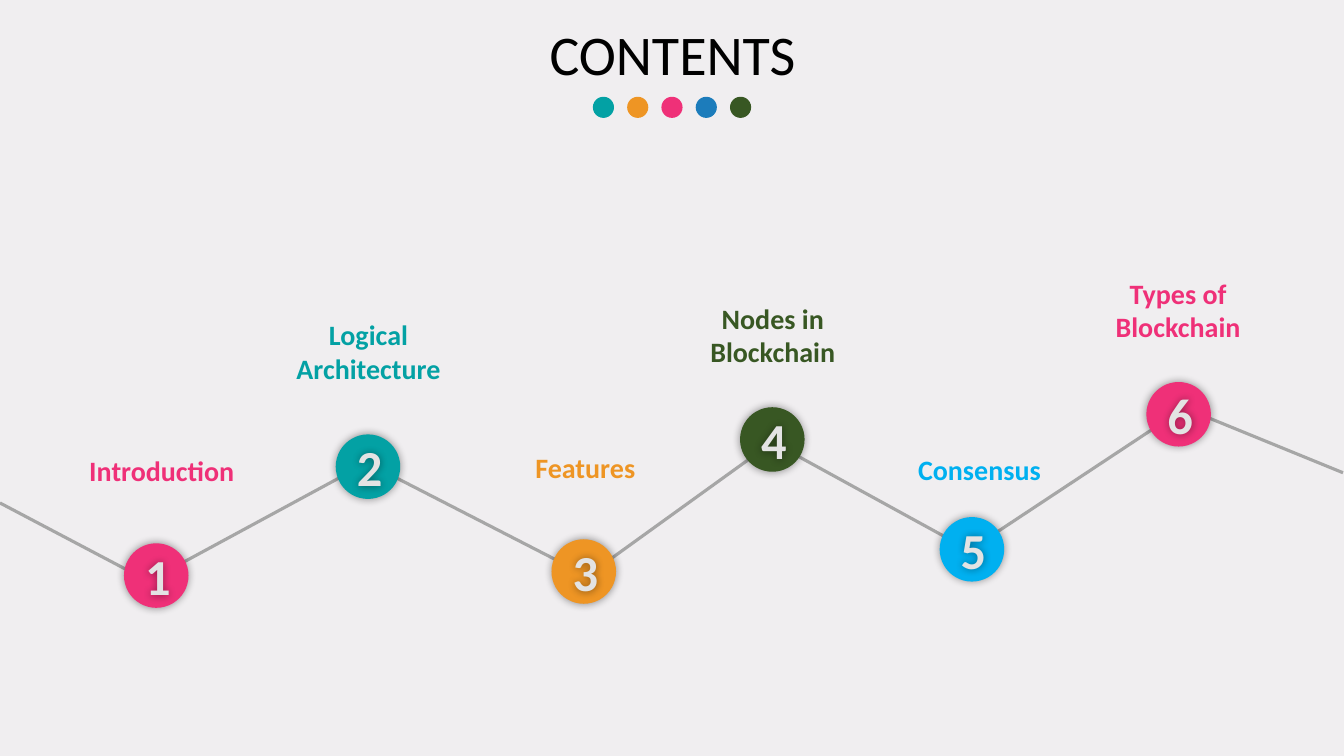
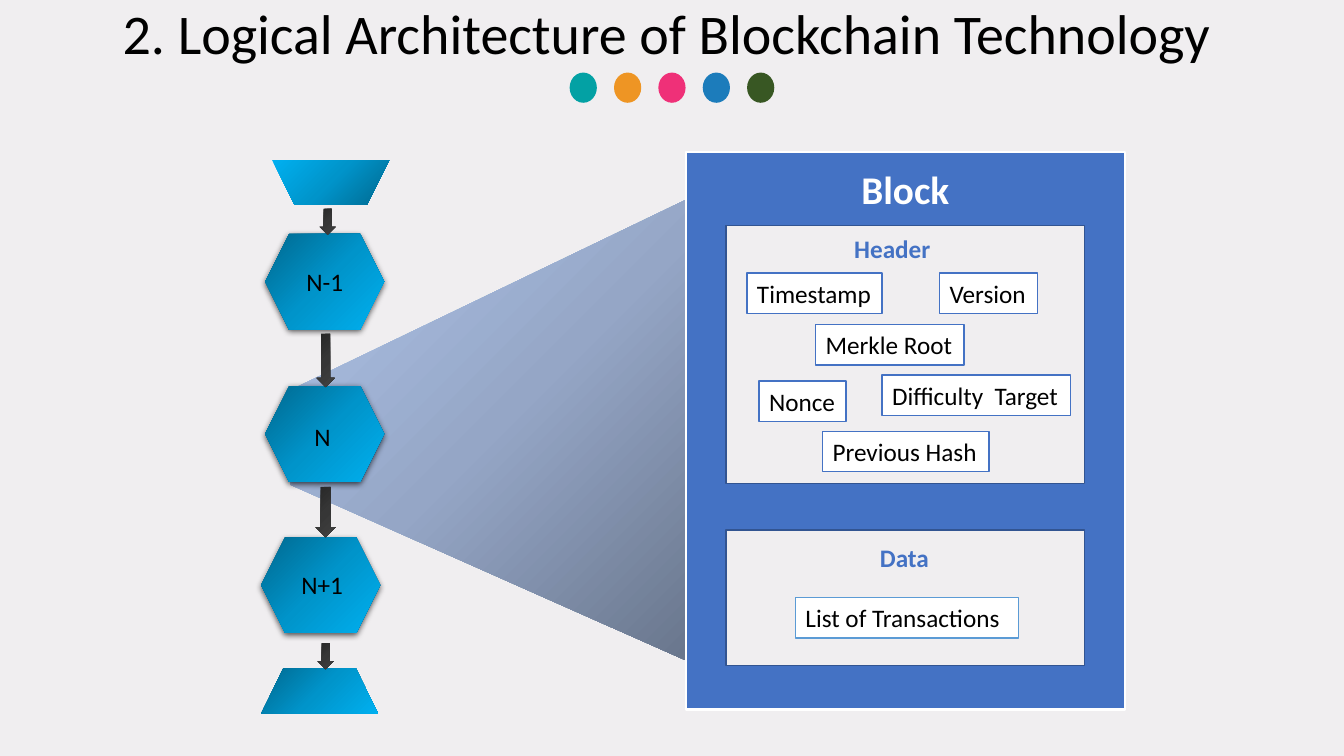
import pptx
import pptx.dml.color
import pptx.enum.shapes
import pptx.enum.text
import pptx.oxml
import pptx.oxml.ns
import pptx.util
from lxml import etree
from typing import Any, NamedTuple, Optional

Inches = pptx.util.Inches
Preset = pptx.enum.shapes.MSO_SHAPE
Align = pptx.enum.text.PP_ALIGN

COLORS = {
    "background": "F0EEF0", "teal": "03A1A4", "orange": "EE9524",
    "pink": "EF3078", "blue": "1C7CBB", "green": "385723", "sky": "00B0F0",
    "path": "A6A6A6", "digit": "E3E3E3", "black": "000000", "white": "FFFFFF",
    "block": "4472C4", "panel edge": "325491", "data edge": "5B9BD5",
}
GRADIENTS = {
    "node": ("00688E", "0094CA", "00B0F0"),
    "node reversed": ("00B0F0", "0094CA", "00688E"),
    "arrow": ("262626", "363636", "404040"),
    "beam": ("B0C6EB", "95A6C6", "68758B"),
}
DOT_COLORS = ("teal", "orange", "pink", "blue", "green")
CENTER = 6.665


class Box(NamedTuple):
    left: float
    top: float
    width: float
    height: float


class Shadow(NamedTuple):
    opacity: int
    blur: float
    distance: float
    angle: int


class Milestone(NamedTuple):
    label: str
    color: str
    circle_left: float
    circle_top: float
    label_left: float
    label_top: float


class Field(NamedTuple):
    text: str
    box: Box
    edge: str = "block"


class Node(NamedTuple):
    text: str
    hexagon: Box
    text_left: float
    text_top: float


MILESTONE_SHADOW = Shadow(40, 6, 0, 0)
NODE_SHADOW = Shadow(63, 4.5, 1.5, 90)

MILESTONES = (
    Milestone("Introduction", "pink", 1.23, 5.39, 0.44, 4.45),
    Milestone("Logical Architecture", "teal", 3.33, 4.31, 2.49, 3.1),
    Milestone("Features", "orange", 5.47, 5.35, 4.64, 4.42),
    Milestone("Nodes in Blockchain", "green", 7.34, 4.04, 6.5, 2.94),
    Milestone("Consensus", "sky", 9.32, 5.13, 8.55, 4.44),
    Milestone("Types of Blockchain", "pink", 11.37, 3.79, 10.52, 2.69),
)
PATH_LINES = (
    (0, 4.99, 1.48, 5.77), (1.63, 5.68, 3.57, 4.63),
    (3.89, 4.72, 5.76, 5.68), (5.87, 5.68, 7.59, 4.44),
    (7.63, 4.37, 9.6, 5.45), (9.78, 5.35, 11.61, 4.14),
    (11.9, 4.11, 13.32, 4.69),
)
PANELS = (Box(7.2, 2.24, 3.56, 2.56), Box(7.2, 5.26, 3.56, 1.34))
FIELDS = (
    Field("Timestamp", Box(7.41, 2.71, 1.34, 0.4)),
    Field("Version", Box(9.32, 2.71, 0.97, 0.4)),
    Field("Merkle Root", Box(8.09, 3.22, 1.47, 0.4)),
    Field("Difficulty  Target", Box(8.75, 3.72, 1.87, 0.4)),
    Field("Nonce", Box(7.53, 3.78, 0.86, 0.4)),
    Field("Previous Hash", Box(8.16, 4.28, 1.65, 0.4)),
    Field("List of Transactions", Box(7.89, 5.93, 2.21, 0.4), "data edge"),
)
NODES = (
    Node("N-1", Box(2.63, 2.32, 1.18, 0.95), 2.94, 2.59),
    Node("N", Box(2.63, 3.83, 1.18, 0.95), 3.02, 4.13),
    Node("N+1", Box(2.59, 5.33, 1.18, 0.95), 2.89, 5.6),
)
ARROWS = (
    Box(3.17, 2.07, 0.16, 0.26), Box(3.14, 3.31, 0.18, 0.53),
    Box(3.13, 4.83, 0.2, 0.5), Box(3.15, 6.38, 0.16, 0.26),
)


def color_of(name: str) -> Any:
    return pptx.dml.color.RGBColor.from_string(COLORS[name])


def inches(box: Box) -> list:
    return [Inches(value) for value in box]


def paint(shape: Any, fill: str, edge: Optional[str] = None, weight: float = 1) -> None:
    """Fill with a named colour or gradient, and outline if an edge is given."""
    if fill in GRADIENTS:
        stops = "".join(
            f'<a:gs pos="{index * 50000}"><a:srgbClr val="{value}"/></a:gs>'
            for index, value in enumerate(GRADIENTS[fill]))
        shape._element.spPr.append(pptx.oxml.parse_xml(
            f'<a:gradFill {pptx.oxml.ns.nsdecls("a")} rotWithShape="1">'
            f'<a:gsLst>{stops}</a:gsLst><a:lin ang="2700000" scaled="0"/></a:gradFill>'))
    else:
        shape.fill.solid()
        shape.fill.fore_color.rgb = color_of(fill)
    if edge:
        shape.line.color.rgb = color_of(edge)
        shape.line.width = pptx.util.Pt(weight)
    else:
        shape.line.fill.background()
    shape.shadow.inherit = False


def add_shadow(shape: Any, shadow: Shadow) -> None:
    shape.shadow.inherit = False
    effects = shape._element.spPr.find(pptx.oxml.ns.qn("a:effectLst"))
    effects.append(pptx.oxml.parse_xml(
        f'<a:outerShdw {pptx.oxml.ns.nsdecls("a")} blurRad="{pptx.util.Pt(shadow.blur)}" '
        f'dist="{pptx.util.Pt(shadow.distance)}" dir="{shadow.angle * 60000}" '
        f'algn="ctr" rotWithShape="0"><a:srgbClr val="{COLORS["black"]}">'
        f'<a:alpha val="{shadow.opacity * 1000}"/></a:srgbClr></a:outerShdw>'))


def add_preset(slide: Any, preset: Any, box: Box, fill: str,
               edge: Optional[str] = None, weight: float = 1) -> Any:
    shape = slide.shapes.add_shape(preset, *inches(box))
    paint(shape, fill, edge, weight)
    return shape


def add_outline(slide: Any, points: tuple, fill: str) -> None:
    corners = [(Inches(x), Inches(y)) for x, y in points]
    builder = slide.shapes.build_freeform(*corners[0])
    builder.add_line_segments(corners[1:], close=True)
    paint(builder.convert_to_shape(), fill)


def write(shape: Any, text: str, size: float, color: str = "black",
          bold: bool = False, align: Any = Align.CENTER) -> None:
    frame = shape.text_frame
    frame.word_wrap = True
    frame.vertical_anchor = pptx.enum.text.MSO_ANCHOR.TOP
    paragraph = frame.paragraphs[0]
    paragraph.alignment = align
    run = paragraph.add_run()
    run.text = text
    font_format = {"name": "Calibri", "size": pptx.util.Pt(size), "bold": bold}
    for attribute, value in font_format.items():
        setattr(run.font, attribute, value)
    run.font.color.rgb = color_of(color)


def add_text(slide: Any, box: Box, text: str, size: float, color: str = "black",
             bold: bool = False, align: Any = Align.CENTER) -> Any:
    shape = slide.shapes.add_textbox(*inches(box))
    write(shape, text, size, color, bold, align)
    return shape


def add_heading(slide: Any, title: str, title_box: Box, dots_top: float,
                pitch: float, width: float, height: float) -> None:
    """Title with the centred row of coloured dots below it."""
    add_text(slide, title_box, title, 40)
    first = CENTER - (len(DOT_COLORS) - 1) * pitch / 2 - width / 2
    for index, color in enumerate(DOT_COLORS):
        add_preset(slide, Preset.OVAL,
                   Box(first + index * pitch, dots_top, width, height), color)


def build_contents(slide: Any) -> None:
    # Zigzag path
    for line in PATH_LINES:
        connector = slide.shapes.add_connector(
            pptx.enum.shapes.MSO_CONNECTOR.STRAIGHT, *[Inches(value) for value in line])
        connector.line.color.rgb = color_of("path")
        connector.line.width = pptx.util.Pt(2.25)
        etree.SubElement(connector._element.spPr, pptx.oxml.ns.qn("a:effectLst"))

    add_heading(slide, "CONTENTS", Box(2.69, 0.14, 7.96, 0.77), 0.96, 0.34, 0.21, 0.21)

    # Numbered milestones
    for number, item in enumerate(MILESTONES, start=1):
        circle = add_preset(slide, Preset.OVAL,
                            Box(item.circle_left, item.circle_top, 0.64, 0.64), item.color)
        add_shadow(circle, MILESTONE_SHADOW)
        digit = add_text(slide, Box(item.circle_left + 0.11, item.circle_top - 0.03, 0.42, 0.71),
                         str(number), 36, "digit", True)
        add_shadow(digit, MILESTONE_SHADOW)
        add_text(slide, Box(item.label_left, item.label_top, 2.33, 0.77),
                 item.label, 20, item.color, True)


def build_architecture(slide: Any) -> None:
    # Beam from node N to the block
    add_outline(slide, ((6.89, 6.59), (2.88, 4.81), (2.88, 3.87), (6.87, 1.95)), "beam")

    # Block with header and data panels
    add_preset(slide, Preset.RECTANGLE, Box(6.8, 1.51, 4.36, 5.53), "block", "white", 1.5)
    for panel in PANELS:
        add_preset(slide, Preset.RECTANGLE, panel, "background", "panel edge")
    add_text(slide, Box(7.2, 1.59, 3.56, 0.57), "Block", 28, "white", True)
    add_text(slide, Box(7.29, 2.27, 3.12, 0.42), "Header", 18, "block", True)
    add_text(slide, Box(7.88, 5.33, 2.18, 0.42), "Data", 18, "block", True)
    for field in FIELDS:
        shape = add_preset(slide, Preset.RECTANGLE, field.box, "white", field.edge)
        write(shape, field.text, 18, align=Align.LEFT)
        shape.text_frame.margin_right = 0

    # Chain of nodes, cut off at both ends
    for node in NODES:
        hexagon = add_preset(slide, Preset.HEXAGON, node.hexagon, "node")
        add_shadow(hexagon, NODE_SHADOW)
        add_text(slide, Box(node.text_left, node.text_top, 0.78, 0.4),
                 node.text, 18, align=Align.LEFT)
    add_outline(slide, ((2.81, 6.63), (3.53, 6.63), (3.75, 7.08), (2.59, 7.08)), "node")
    add_outline(slide, ((3.64, 2.03), (2.92, 2.03), (2.7, 1.59), (3.86, 1.59)), "node reversed")
    for arrow in ARROWS:
        add_preset(slide, Preset.DOWN_ARROW, arrow, "arrow")

    add_heading(slide, "2. Logical Architecture of Blockchain Technology",
                Box(0.04, -0.06, 13.14, 0.77), 0.72, 0.44, 0.27, 0.3)


def main() -> None:
    presentation = pptx.Presentation()
    presentation.slide_width = Inches(13.33)
    presentation.slide_height = Inches(7.5)
    background = presentation.slide_master.background.fill
    background.solid()
    background.fore_color.rgb = color_of("background")
    for build in (build_contents, build_architecture):
        build(presentation.slides.add_slide(presentation.slide_layouts[6]))
    presentation.save("out.pptx")


if __name__ == "__main__":
    main()
